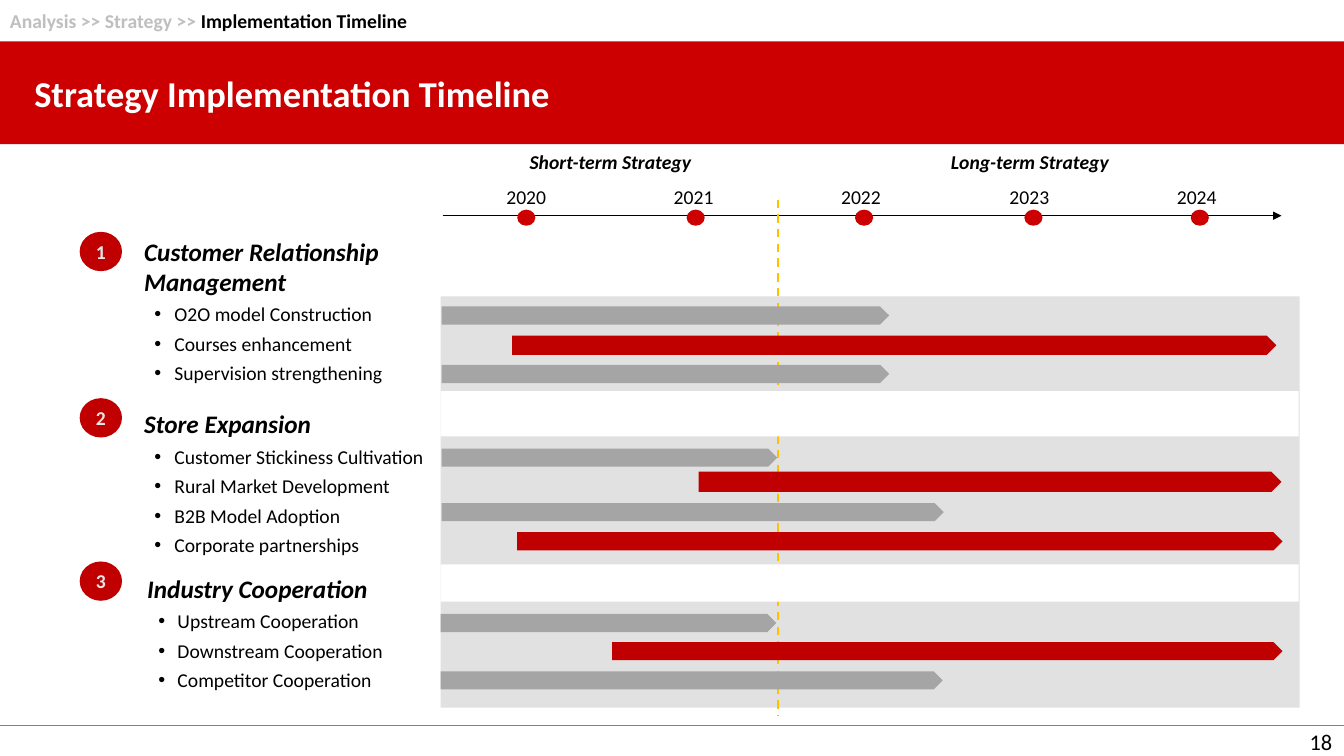
from lxml.etree import SubElement
from pptx import Presentation
from pptx.dml.color import RGBColor
from pptx.enum.dml import MSO_LINE
from pptx.enum.shapes import MSO_CONNECTOR, MSO_SHAPE
from pptx.enum.text import MSO_ANCHOR, MSO_AUTO_SIZE, PP_ALIGN
from pptx.oxml.ns import qn
from pptx.util import Pt

PX = 9144
THEME = {
    "font": "Calibri",
    "black": "000000", "white": "FFFFFF", "muted": "BFBFBF", "number": "E7E6E6",
    "banner": "CC0000", "red": "C00000", "gray": "A5A5A5", "band": "E1E1E1",
    "rule": "808080", "divider": "FFC000",
    "title": 26, "heading": 18, "page": 16, "body": 14,
}

deck = Presentation()
deck.slide_width, deck.slide_height = 1333 * PX, 750 * PX
page = deck.slides.add_slide(deck.slide_layouts[6])


def add_block(kind, bounds, color, text="", size="body", ink="white", inset=0, align=PP_ALIGN.CENTER):
    if kind is None:
        box = page.shapes.add_textbox(*[value * PX for value in bounds])
    else:
        box = page.shapes.add_shape(kind, *[value * PX for value in bounds])
        box.shadow.inherit = False
        box.fill.solid()
        box.fill.fore_color.rgb = RGBColor.from_string(THEME[color])
        box.line.fill.background()
    frame = box.text_frame
    frame.word_wrap = True
    frame.margin_left = frame.margin_right = inset * PX
    frame.margin_top = frame.margin_bottom = min(inset, 5) * PX
    if kind is None:
        frame.auto_size = MSO_AUTO_SIZE.SHAPE_TO_FIT_TEXT
        frame.vertical_anchor = MSO_ANCHOR.TOP
    else:
        frame.vertical_anchor = MSO_ANCHOR.MIDDLE
    if text:
        frame.text = text
        para = frame.paragraphs[0]
        para.alignment = align
        font = para.runs[0].font
        font.name, font.size = THEME["font"], Pt(THEME[size])
        font.color.rgb = RGBColor.from_string(THEME[ink])
    return box


def add_line(start, end, color, width):
    line = page.shapes.add_connector(MSO_CONNECTOR.STRAIGHT, *[value * PX for value in start + end])
    line.line.color.rgb = RGBColor.from_string(THEME[color])
    line.line.width = Pt(width)
    SubElement(line._element.spPr, qn("a:effectLst"))
    return line


add_block(MSO_SHAPE.RECTANGLE, (437, 294, 852, 408), "band")

trail = add_block(None, (0, 4, 417, 34), None, "Analysis >> Strategy >> ", ink="muted", inset=10, align=PP_ALIGN.LEFT)
trail.text_frame.word_wrap = False
span = trail.text_frame.paragraphs[0].add_run()
span.text = "Implementation Timeline"
span.font.name, span.font.size = THEME["font"], Pt(THEME["body"])
span.font.color.rgb = RGBColor.from_string(THEME["black"])
for span in trail.text_frame.paragraphs[0].runs:
    span.font.bold = True

banner = add_block(MSO_SHAPE.RECTANGLE, (0, 41, 1333, 102), "banner",
                   "Strategy Implementation Timeline", "title", inset=34, align=PP_ALIGN.LEFT)
banner.text_frame.paragraphs[0].runs[0].font.bold = True

add_line((0, 720), (1333, 720), "rule", 0.5)
add_block(None, (1289, 717, 44, 37), None, "18", "page", "black", 10, PP_ALIGN.LEFT)

axis = add_line((439, 214), (1271, 214), "black", 0.5)
SubElement(axis.line._get_or_add_ln(), qn("a:tailEnd"), type="triangle")
for index in range(5):
    add_block(None, (439 + index * 832 // 5, 179, 166, 32), None, str(2020 + index), ink="black", inset=4)

divider = add_line((772, 198), (772, 710), "divider", 1.5)
divider.line.dash_style = MSO_LINE.DASH

for left, width, term in [(439, 333, "Short-term Strategy"), (772, 499, "Long-term Strategy")]:
    label = add_block(None, (left, 145, width, 32), None, term, ink="black", inset=4)
    font = label.text_frame.paragraphs[0].runs[0].font
    font.bold = font.italic = True

strategies = [
    ((139, 230, 293, 155), 1.0, 20, "Customer Relationship Management",
     ["O2O model Construction", "Courses enhancement", "Supervision strengthening"]),
    ((139, 394, 306, 193), 1.25, 20, "Store Expansion",
     ["Customer Stickiness Cultivation", "Rural Market Development", "B2B Model Adoption",
      "Corporate partnerships"]),
    ((142, 557, 308, 134), 1.25, 19, "Industry Cooperation",
     ["Upstream Cooperation", "Downstream Cooperation", "Competitor Cooperation"]),
]
for bounds, spacing, hanging, heading, actions in strategies:
    box = add_block(None, bounds, None, heading, "heading", "black", 4, PP_ALIGN.LEFT)
    para = box.text_frame.paragraphs[0]
    para.line_spacing = spacing
    para.runs[0].font.bold = para.runs[0].font.italic = True
    for action in actions:
        para = box.text_frame.add_paragraph()
        para.text = action
        properties = para._p.get_or_add_pPr()
        properties.set("marL", str(30 * PX))
        properties.set("indent", str(-hanging * PX))
        SubElement(properties, qn("a:buFont"), typeface="Arial")
        SubElement(properties, qn("a:buChar"), char="•")
        para.line_spacing = 1.25
        font = para.runs[0].font
        font.name, font.size = THEME["font"], Pt(THEME["body"])
        font.color.rgb = RGBColor.from_string(THEME["black"])

bars = [
    (438, 304, 444, 18, "gray"), (508, 333, 758, 19, "red"), (438, 362, 444, 18, "gray"),
    (438, 445, 333, 18, "gray"), (693, 468, 578, 20, "red"),
    (438, 499, 498, 18, "gray"), (513, 528, 759, 18, "red"),
    (437, 609, 333, 18, "gray"), (607, 637, 665, 18, "red"), (437, 666, 498, 18, "gray"),
]
for *bounds, color in bars:
    add_block(MSO_SHAPE.PENTAGON, bounds, color)

for top, height in [(388, 45), (560, 37)]:
    add_block(MSO_SHAPE.RECTANGLE, (437, top, 851, height), "white")

for left in [513, 681, 848, 1016, 1181]:
    add_block(MSO_SHAPE.OVAL, (left, 208, 18, 16), "banner")

for number, top in enumerate([230, 395, 557], 1):
    badge = add_block(MSO_SHAPE.OVAL, (79, top, 42, 39), "red", str(number), ink="number")
    badge.text_frame.paragraphs[0].runs[0].font.bold = True

deck.save("out.pptx")
